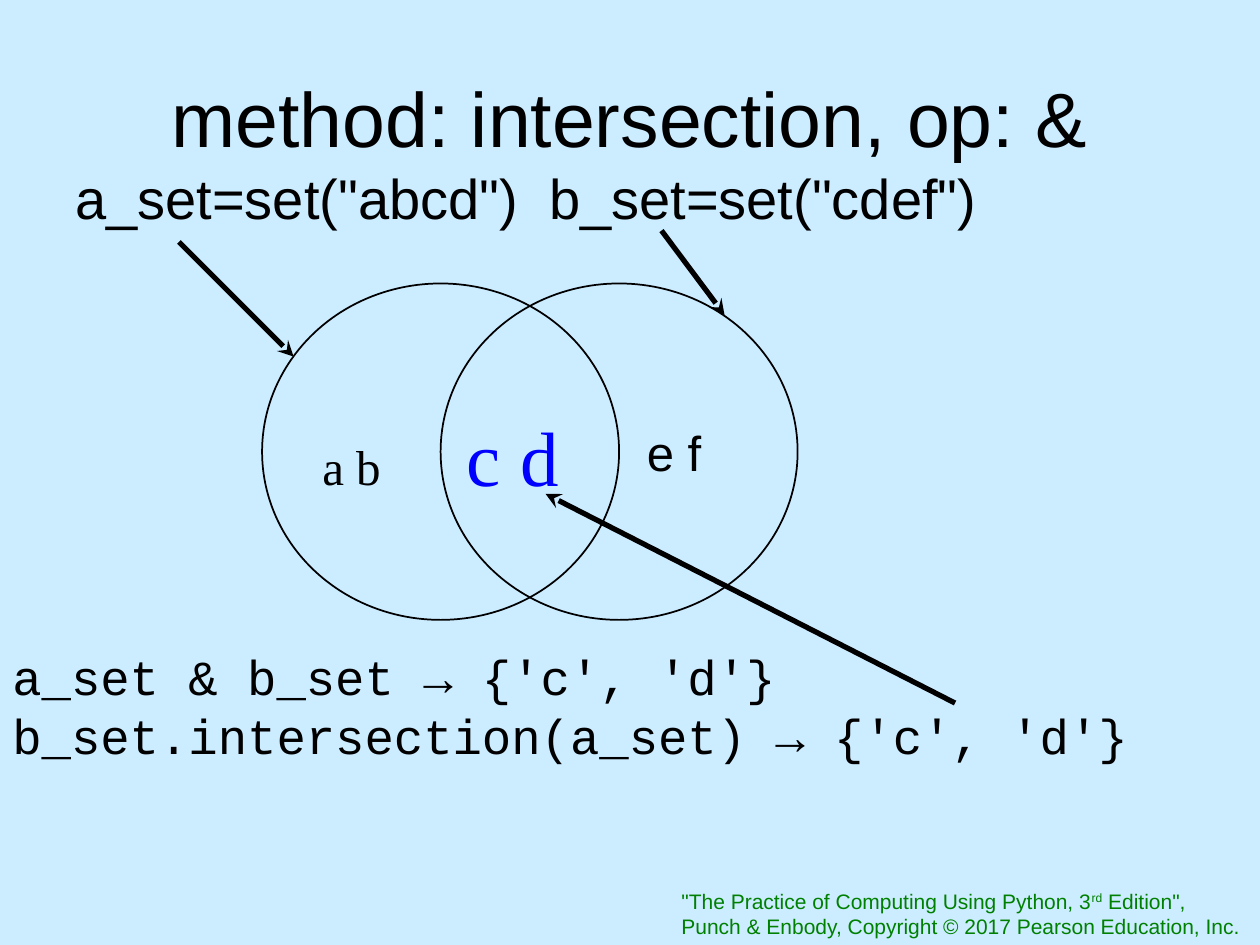
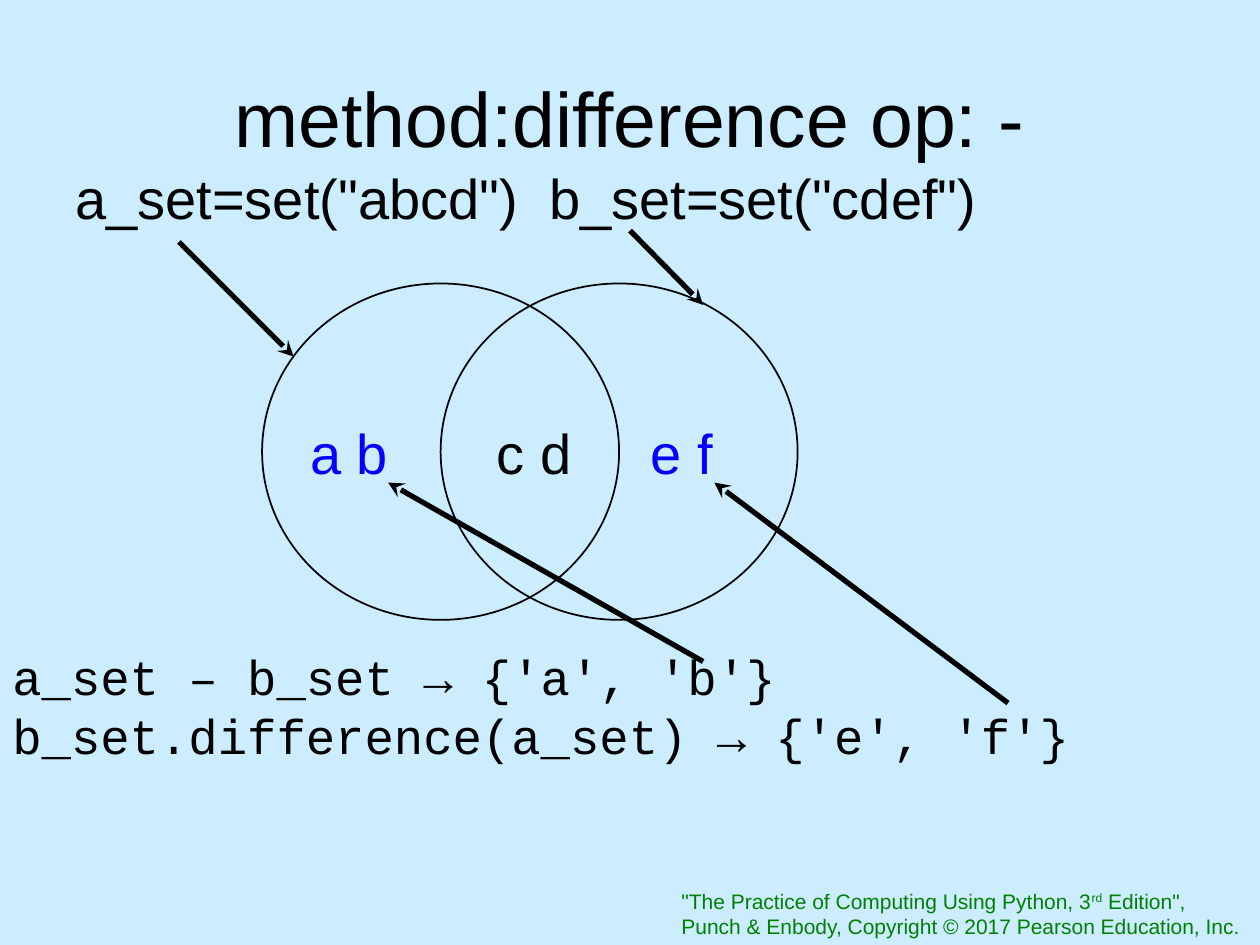
from lxml import etree
from pptx import Presentation
from pptx.dml.color import RGBColor as RGB
from pptx.enum.shapes import MSO_CONNECTOR as LINK, MSO_SHAPE as SHAPE
from pptx.enum.text import MSO_ANCHOR as ANCHOR, PP_ALIGN as ALIGN
from pptx.oxml.ns import qn
from pptx.util import Inches, Pt

SKY = RGB(0xCC, 0xEC, 0xFF)
BLACK = RGB(0, 0, 0)
BLUE = RGB(0, 0, 0xFF)
GREEN = RGB(0, 0x80, 0)

# Text styles
TITLE = dict(name="Arial", size=Pt(44))
SETS = dict(name="Arial", size=Pt(32))
CODE = dict(name="Courier New", size=Pt(28))
FOOT = dict(name="Arial", size=Pt(12))
SMALL = dict(name="Arial", size=Pt(28))
SERIF = dict(name="Times New Roman", size=Pt(28))
LARGE = dict(name="Times New Roman", size=Pt(44))

# Regions: left, top, width, height
TITLE_BOX = (0.5, 0.3, 9, 1.25)
SETS_BOX = (0.5, 1.25, 9, 0.65)
VENN_BOX = (2.08, 2.25, 4.25, 2.67)
CODE_BOX = (0, 5.08, 10, 1.51)
FOOT_BOX = (5.31, 7, 4.68, 0.5)


def style(font, look, color):
    for key, value in look.items():
        setattr(font, key, value)
    font.color.rgb = color


def add_text(slide, box, lines, look, color=BLACK, align=ALIGN.LEFT,
             anchor=ANCHOR.TOP, wrap=True):
    """Each line is a list of runs; returns the text frame."""
    frame = slide.shapes.add_textbox(*map(Inches, box)).text_frame
    frame.word_wrap, frame.vertical_anchor = wrap, anchor
    for i, runs in enumerate(lines):
        para = frame.add_paragraph() if i else frame.paragraphs[0]
        para.alignment = align
        for words in runs:
            run = para.add_run()
            run.text = words
            style(run.font, look, color)
    return frame


def add_arrow(slide, start, end):
    line = slide.shapes.add_connector(
        LINK.STRAIGHT, *map(Inches, start + end))
    line.line.color.rgb = BLACK
    line.line.width = Pt(3)
    tail = etree.SubElement(line.line._get_or_add_ln(), qn("a:tailEnd"))
    tail.set("type", "stealth")
    etree.SubElement(line._element.spPr, qn("a:effectLst"))


def add_sets(slide, box):
    """Both set definitions, the second at a tab stop."""
    frame = add_text(slide, box, [['a_set=set("abcd")\tb_set=set("cdef")']],
                     SETS)
    props = frame.paragraphs[0]._p.get_or_add_pPr()
    stops = etree.SubElement(props, qn("a:tabLst"))
    etree.SubElement(stops, qn("a:tab"), pos=str(Inches(3.76)), algn="l")


def add_venn(slide, box, labels):
    """Two circles, each two thirds of the box wide, and their labels."""
    left, top, width, high = box
    wide = width * 2 / 3
    for x in (left + width - wide, left):
        ring = slide.shapes.add_shape(
            SHAPE.OVAL, *map(Inches, (x, top, wide, high)))
        ring.shadow.inherit = False
        ring.fill.background()
        ring.line.color.rgb = BLACK
        ring.line.width = Pt(1)
    for words, x, y, look, color in labels:
        spot = (left + x - 0.6, top + y - 0.4, 1.2, 0.8)
        add_text(slide, spot, [[words]], look, color, ALIGN.CENTER,
                 ANCHOR.MIDDLE)


def add_foot(slide, box):
    frame = add_text(slide, box, [
        ['"The Practice of Computing Using Python, 3', "rd", ' Edition",'],
        ["Punch & Enbody, Copyright © 2017 Pearson Education, Inc."],
    ], FOOT, GREEN, wrap=False)
    mark = frame.paragraphs[0].runs[1]
    mark.font._element.set("baseline", "30000")


def add_page(deck, title, code, labels, arrows):
    slide = deck.slides.add_slide(deck.slide_layouts[6])
    slide.background.fill.solid()
    slide.background.fill.fore_color.rgb = SKY
    add_foot(slide, FOOT_BOX)
    add_text(slide, TITLE_BOX, [[title]], TITLE, align=ALIGN.CENTER,
             anchor=ANCHOR.MIDDLE)
    add_sets(slide, SETS_BOX)
    add_text(slide, CODE_BOX, [[line] for line in code], CODE)
    add_venn(slide, VENN_BOX, labels)
    # The arrow from a_set to its circle is the same on each page
    add_arrow(slide, (1.42, 1.92), (2.33, 2.83))
    for start, end in arrows:
        add_arrow(slide, start, end)


def main():
    deck = Presentation()
    deck.slide_width, deck.slide_height = Inches(10), Inches(7.5)
    # Labels: text, centre within the diagram, style, colour
    add_page(
        deck, "method: intersection, op: &",
        ["a_set & b_set → {'c', 'd'}",
         "b_set.intersection(a_set) → {'c', 'd'}"],
        [("a b", 0.71, 1.45, SERIF, BLACK),
         ("c d", 1.99, 1.37, LARGE, BLUE),
         ("e f", 3.27, 1.34, SMALL, BLACK)],
        [((5.25, 1.83), (5.75, 2.5)), ((7.58, 5.58), (4.33, 3.92))])
    add_page(
        deck, "method:difference op: -",
        ["a_set – b_set → {'a', 'b'}",
         "b_set.difference(a_set) → {'e', 'f'}"],
        [("a b", 0.69, 1.34, SETS, BLUE),
         ("c d", 2.16, 1.34, SETS, BLACK),
         ("e f", 3.33, 1.34, SETS, BLUE)],
        [((5, 1.83), (5.58, 2.42)), ((5.58, 5.25), (3.08, 3.83)),
         ((8, 5.58), (5.67, 3.83))])
    deck.save("out.pptx")


if __name__ == "__main__":
    main()
